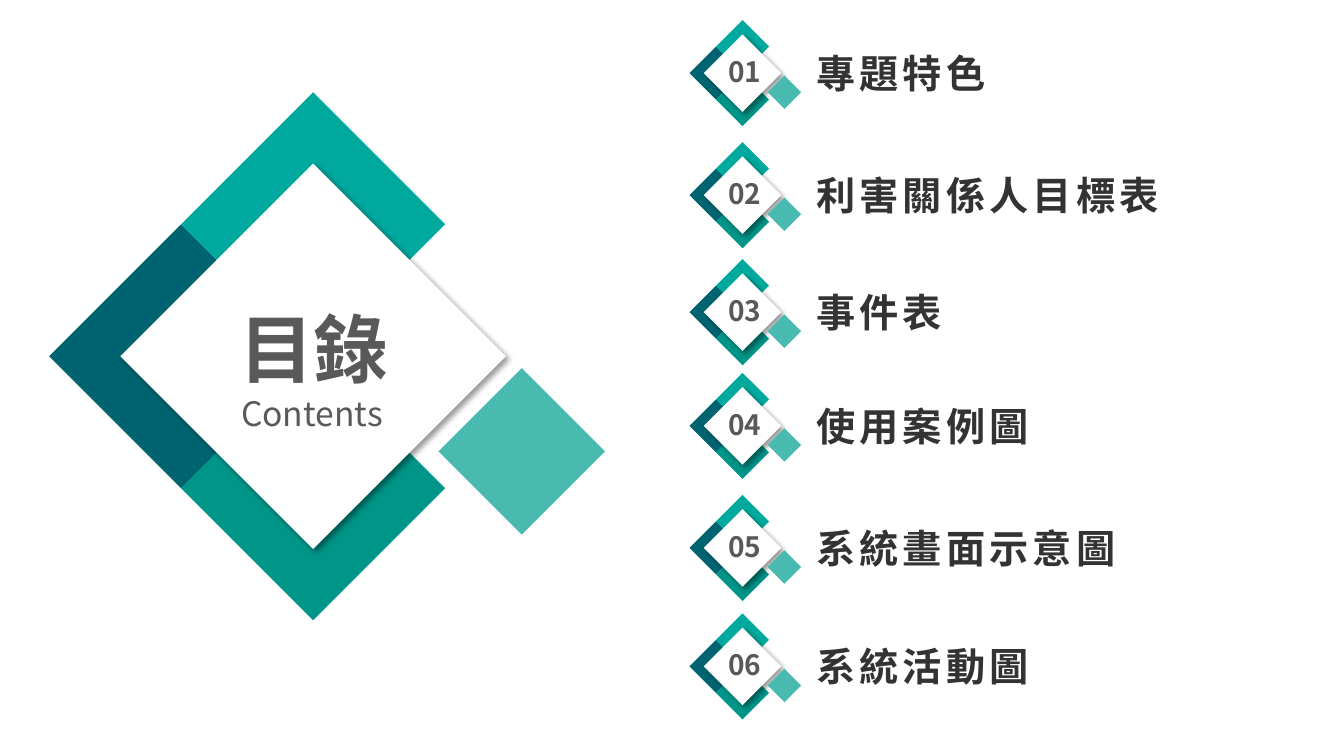
"""Build the contents slide: a large emblem and six numbered topics."""
from typing import NamedTuple

from lxml import etree
from pptx import Presentation
from pptx.dml.color import RGBColor
from pptx.enum.shapes import MSO_SHAPE
from pptx.enum.text import MSO_ANCHOR, MSO_AUTO_SIZE, PP_ALIGN
from pptx.oxml.ns import qn
from pptx.util import Pt

DIAMOND = MSO_SHAPE.DIAMOND
TOP, BOTTOM = MSO_ANCHOR.TOP, MSO_ANCHOR.BOTTOM
LEFT, CENTER = PP_ALIGN.LEFT, PP_ALIGN.CENTER
GROW, FIXED = MSO_AUTO_SIZE.SHAPE_TO_FIT_TEXT, MSO_AUTO_SIZE.NONE
FONT = "Noto Sans CJK SC"
COLORS = {
    "navy": "006470", "teal": "00A99D", "green": "009589", "white": "FFFFFF",
    "mint": "49BAAF", "gray": "595959", "dark": "333333", "black": "000000",
}


class Tile(NamedTuple):
    """A diamond, with its centre and size in units of the emblem's tile."""
    x: float
    y: float
    size: float
    color: str
    shadow: bool = False


class Label(NamedTuple):
    """A line of text and its box."""
    text: str
    x: float
    y: float
    w: float
    h: float
    size: float
    color: str = "gray"
    bold: bool = True
    align: PP_ALIGN = CENTER
    anchor: MSO_ANCHOR = TOP
    inset: bool = True
    space: float = 0
    fit: MSO_AUTO_SIZE = FIXED


class Topic(NamedTuple):
    """A contents entry and the height of its centre."""
    title: str
    y: float


TILES = (
    Tile(-0.5, 0, 1, "navy"),
    Tile(0, -0.5, 1, "teal"),
    Tile(0, 0.5, 1, "green"),
    Tile(0, 0, 1.46, "white", True),
    Tile(0.79, 0.36, 0.63, "mint"),
)
HEADS = (
    Label("Contents", 145.4, 265.7, 154.8, 43.9, 24,
          bold=False, anchor=BOTTOM, inset=False),
    Label("目錄", 146.9, 213.1, 154.8, 79.2, 53.3),
)
TOPICS = (
    Topic("專題特色", 52.2),
    Topic("利害關係人目標表", 139.4),
    Topic("事件表", 223),
    Topic("使用案例圖", 304.2),
    Topic("系統畫面示意圖", 391.4),
    Topic("系統活動圖", 476),
)


def paint(name: str) -> RGBColor:
    """Look up a colour by name."""
    return RGBColor.from_string(COLORS[name])


def add_shade(shape) -> None:
    """Cast a soft shadow to the lower right."""
    effects = shape.element.spPr.find(qn("a:effectLst"))
    shade = etree.SubElement(
        effects, qn("a:outerShdw"), blurRad=str(Pt(4)), dist=str(Pt(3)),
        dir=str(45 * 60000), algn="tl", rotWithShape="0")
    color = etree.SubElement(shade, qn("a:srgbClr"), val=COLORS["black"])
    etree.SubElement(color, qn("a:alpha"), val="40000")


def add_mark(shapes, x: float, y: float, unit: float) -> None:
    """Draw the emblem centred on a point."""
    for tile in TILES:
        side = tile.size * unit
        left = x + tile.x * unit - side / 2
        top = y + tile.y * unit - side / 2
        shape = shapes.add_shape(DIAMOND, Pt(left), Pt(top), Pt(side), Pt(side))
        shape.shadow.inherit = False
        shape.fill.solid()
        shape.fill.fore_color.rgb = paint(tile.color)
        shape.line.fill.background()
        if tile.shadow:
            add_shade(shape)


def add_label(shapes, label: Label) -> None:
    """Add a text box holding one run."""
    box = shapes.add_textbox(Pt(label.x), Pt(label.y), Pt(label.w), Pt(label.h))
    frame = box.text_frame
    frame.word_wrap = True
    frame.auto_size = label.fit
    frame.vertical_anchor = label.anchor
    if not label.inset:
        frame.margin_left = frame.margin_right = Pt(0)
        frame.margin_top = frame.margin_bottom = Pt(0)
    para = frame.paragraphs[0]
    para.alignment = label.align
    run = para.add_run()
    run.text = label.text
    font = run.font
    font.name, font.size, font.bold = FONT, Pt(label.size), label.bold
    font.color.rgb = paint(label.color)
    props = run._r.get_or_add_rPr()
    if label.space:
        props.set("spc", str(int(label.space * 100)))
    etree.SubElement(props, qn("a:ea"), typeface=FONT)


def main() -> None:
    """Build and save the slide."""
    deck = Presentation()
    deck.slide_width, deck.slide_height = Pt(960), Pt(540)
    shapes = deck.slides.add_slide(deck.slide_layouts[6]).shapes
    add_mark(shapes, 223.7, 254.5, 188.6)
    for head in HEADS:
        add_label(shapes, head)
    for index, topic in enumerate(TOPICS, 1):
        add_mark(shapes, 530.4, topic.y, 37.9)
        add_label(shapes, Label(
            f"{index:02}", 505.4, topic.y - 16.9, 53.3, 27.4, 20))
        add_label(shapes, Label(
            topic.title, 576, topic.y - 20.5, 373, 41, 28, "dark",
            align=LEFT, space=3, fit=GROW))
    deck.save("out.pptx")


if __name__ == "__main__":
    main()
